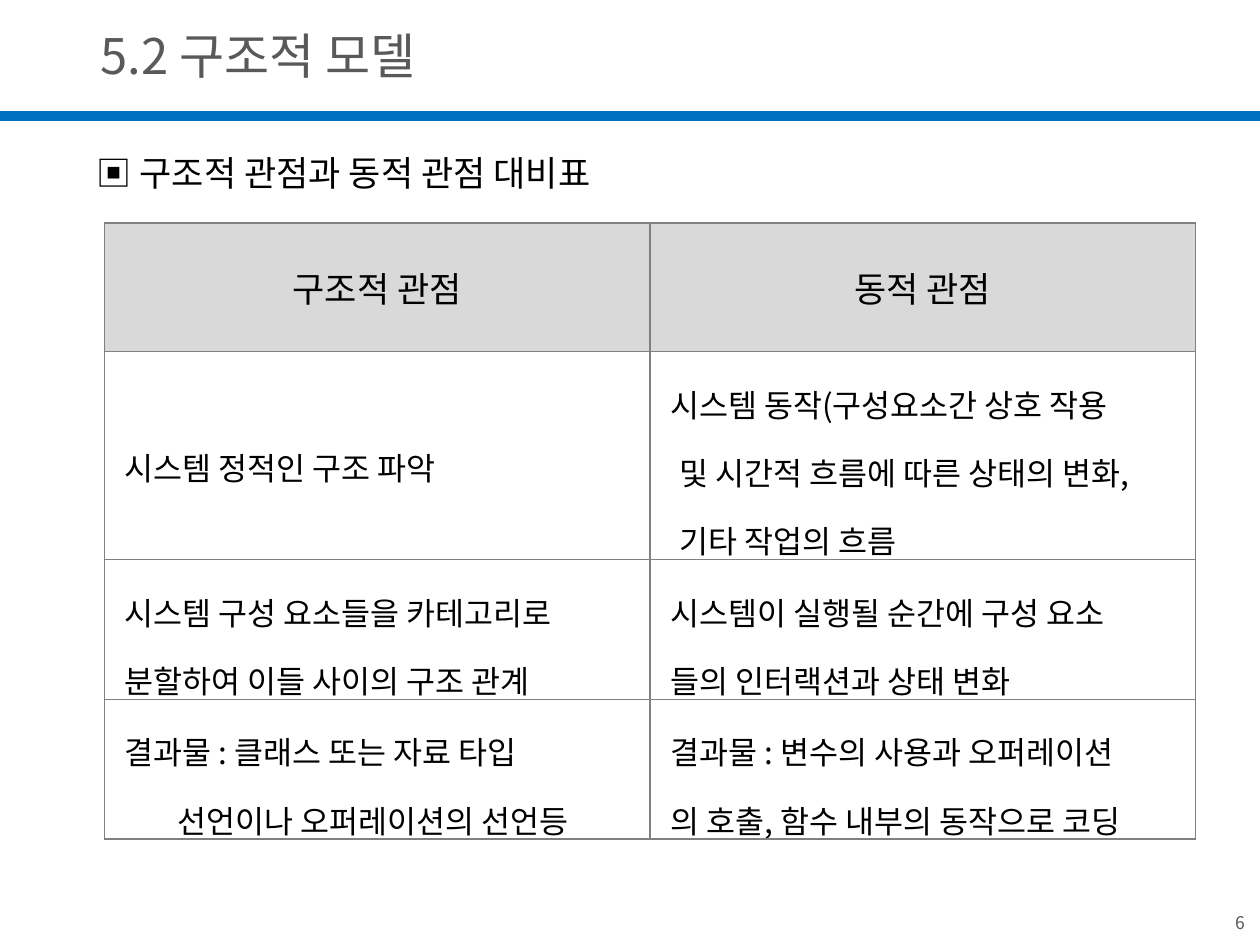
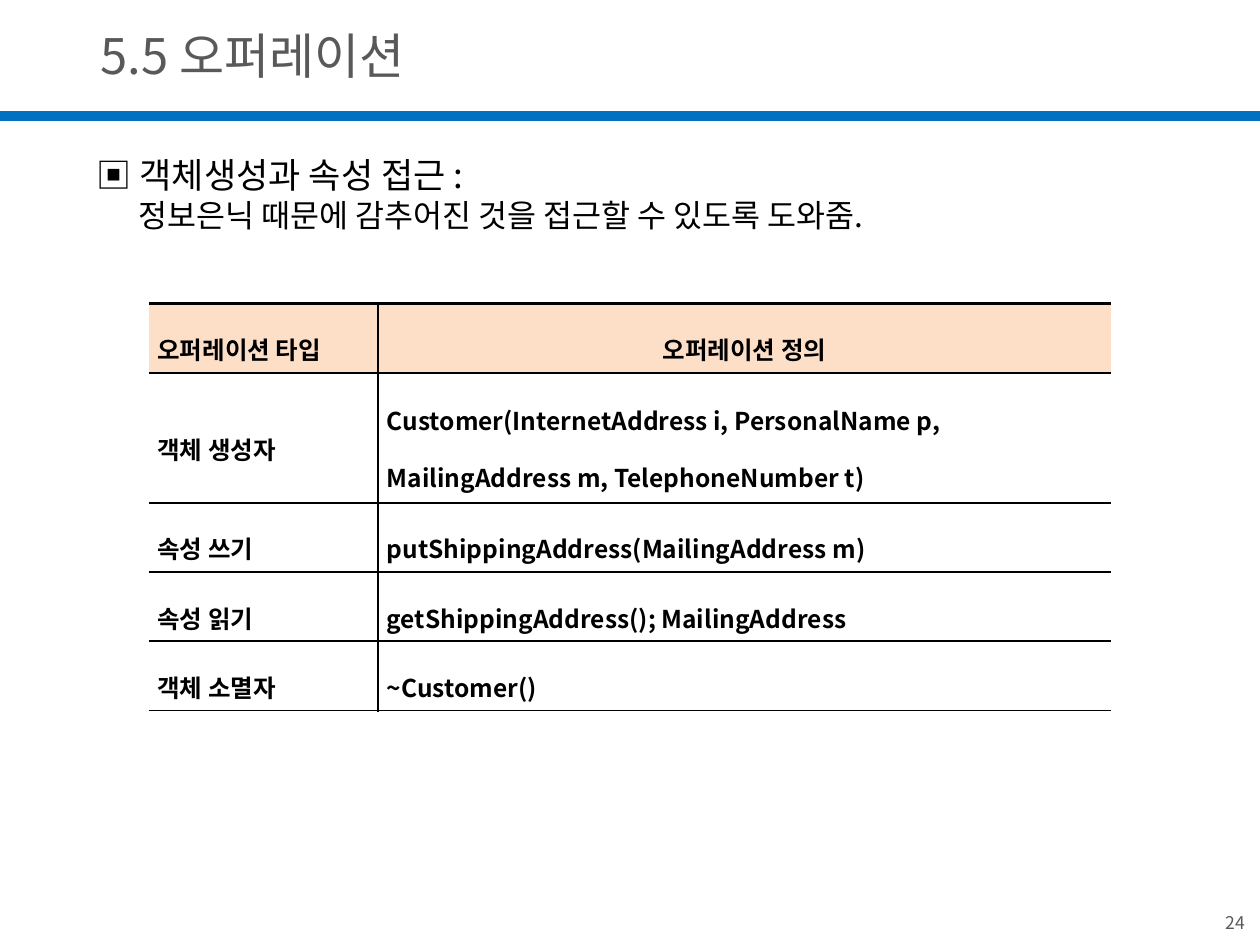
from dataclasses import dataclass

from lxml import etree
from pptx import Presentation
from pptx import util as u
from pptx.dml.color import RGBColor
from pptx.enum import shapes, text
from pptx.oxml import ns

LEFT, CENTER, RIGHT, JUSTIFY = (
    text.PP_ALIGN.LEFT, text.PP_ALIGN.CENTER, text.PP_ALIGN.RIGHT, text.PP_ALIGN.JUSTIFY)


@dataclass(frozen=True)
class Theme:
    font: str = "Noto Sans CJK KR"
    ink: str = "000000"
    muted: str = "595959"
    band: str = "0070C0"
    grid: str = "808080"
    gray_head: str = "D9D9D9"
    peach_head: str = "FDDFC7"
    title: int = 28
    heading: int = 20
    body: int = 18
    small: int = 14
    number: int = 10


THEME = Theme()

# Content: a line is (text, indent in inches)
VIEWS_TITLE = "5.2 구조적 모델"
VIEWS_HEADING = "▣ 구조적 관점과 동적 관점 대비표"
VIEWS_HEAD = ["구조적 관점", "동적 관점"]
VIEWS_ROWS = [
    ([("시스템 정적인 구조 파악", 0.06)],
     [("시스템 동작(구성요소간 상호 작용", 0.06),
      ("및 시간적 흐름에 따른 상태의 변화,", 0.13),
      ("기타 작업의 흐름", 0.13)]),
    ([("시스템 구성 요소들을 카테고리로", 0.06),
      ("분할하여 이들 사이의 구조 관계", 0.06)],
     [("시스템이 실행될 순간에 구성 요소", 0.06),
      ("들의 인터랙션과 상태 변화", 0.06)]),
    ([("결과물 : 클래스 또는 자료 타입", 0.06),
      ("선언이나 오퍼레이션의 선언등", 0.48)],
     [("결과물 : 변수의 사용과 오퍼레이션", 0.06),
      ("의 호출, 함수 내부의 동작으로 코딩", 0.06)]),
]

OPERATIONS_TITLE = "5.5 오퍼레이션"
OPERATIONS_HEADING = "▣ 객체생성과 속성 접근 :"
OPERATIONS_NOTE = "정보은닉 때문에 감추어진 것을 접근할 수 있도록 도와줌."
OPERATIONS_ROWS = [
    ("오퍼레이션 타입", "오퍼레이션 정의"),
    ("객체 생성자",
     "Customer(InternetAddress i, PersonalName p, MailingAddress m, TelephoneNumber t)"),
    ("속성 쓰기", "putShippingAddress(MailingAddress m)"),
    ("속성 읽기", "getShippingAddress(); MailingAddress"),
    ("객체 소멸자", "~Customer()"),
]


# Text helpers
def style_para(para, size, color=THEME.ink, align=LEFT, spacing=1.0, indent=0, bold=False):
    para.alignment = align
    para.line_spacing = spacing
    if indent:
        para._p.get_or_add_pPr().set("marL", str(u.Inches(indent)))
    for span in para.runs:
        span.font.name = THEME.font
        span.font.size = u.Pt(size)
        span.font.bold = bold
        span.font.color.rgb = RGBColor.from_string(color)
        east_asian = etree.SubElement(span._r.get_or_add_rPr(), ns.qn("a:ea"))
        east_asian.set("typeface", THEME.font)


def write_lines(frame, lines, size, **style):
    frame.text = "\n".join(line for line, _ in lines)
    for para, (_, indent) in zip(frame.paragraphs, lines):
        style_para(para, size, indent=indent, **style)


def add_text(page, place, lines, size, anchor=text.MSO_ANCHOR.MIDDLE, wrap=True, **style):
    box = page.shapes.add_textbox(*map(u.Inches, place))
    frame = box.text_frame
    frame.word_wrap = wrap
    frame.vertical_anchor = anchor
    write_lines(frame, lines, size, **style)
    return box


# Table helpers
def set_borders(cell, borders):
    """Borders map a side (L, R, T, B) to (colour, points), or None for no line."""
    properties = cell._tc.get_or_add_tcPr()
    for side in "LRTB":
        line = etree.SubElement(properties, ns.qn(f"a:ln{side}"))
        if borders[side] is None:
            etree.SubElement(line, ns.qn("a:noFill"))
            continue
        color, points = borders[side]
        line.set("w", str(u.Pt(points)))
        fill = etree.SubElement(line, ns.qn("a:solidFill"))
        etree.SubElement(fill, ns.qn("a:srgbClr")).set("val", color)


def finish_cell(cell, borders, fill=None):
    set_borders(cell, borders)
    cell.vertical_anchor = text.MSO_ANCHOR.MIDDLE
    if fill:
        cell.fill.solid()
        cell.fill.fore_color.rgb = RGBColor.from_string(fill)
    else:
        cell.fill.background()


def add_grid(page, left, top, widths, heights):
    size = (sum(widths), sum(heights))
    table = page.shapes.add_table(
        len(heights), len(widths), *map(u.Inches, (left, top, *size))).table
    table.first_row = table.horz_banding = False
    for column, width in zip(table.columns, widths):
        column.width = u.Inches(width)
    for row, height in zip(table.rows, heights):
        row.height = u.Inches(height)
    return table


# Shared page: band, title and page number
def add_page(deck, title, number):
    page = deck.slides.add_slide(deck.slide_layouts[6])
    band = page.shapes.add_connector(
        shapes.MSO_CONNECTOR.STRAIGHT, 0, u.Inches(0.92), deck.slide_width, u.Inches(0.92))
    band.line.color.rgb = RGBColor.from_string(THEME.band)
    band.line.width = u.Pt(6)
    etree.SubElement(band._element.spPr, ns.qn("a:effectLst"))
    title_box = add_text(page, (0.7, 0.2, 8.5, 0.65), [(title, 0)], THEME.title,
                         anchor=text.MSO_ANCHOR.TOP, color=THEME.muted)
    title_box.text_frame.margin_top = 0
    add_text(page, (9.14, 7.22, 0.84, 0.21), [(str(number), 0)], THEME.number,
             color=THEME.muted, align=RIGHT)
    return page


def build_views(deck):
    page = add_page(deck, VIEWS_TITLE, 6)
    add_text(page, (0.67, 1.15, 4.69, 0.44), [(VIEWS_HEADING, 0)], THEME.heading, wrap=False)
    table = add_grid(page, 0.83, 1.77, [4.33] * 2, [1.02, 1.65, 1.11, 1.11])
    borders = dict.fromkeys("LRTB", (THEME.grid, 1))
    for column, label in enumerate(VIEWS_HEAD):
        cell = table.cell(0, column)
        write_lines(cell.text_frame, [(label, 0)], THEME.heading, align=CENTER)
        finish_cell(cell, borders, THEME.gray_head)
    for row, views in enumerate(VIEWS_ROWS, 1):
        for column, lines in enumerate(views):
            cell = table.cell(row, column)
            write_lines(cell.text_frame, lines, THEME.body, spacing=1.5)
            finish_cell(cell, borders)


def build_operations(deck):
    page = add_page(deck, OPERATIONS_TITLE, 24)
    intro = add_text(page, (0.67, 1.13, 8.55, 1),
                     [(OPERATIONS_HEADING, 0), (OPERATIONS_NOTE, 0.33)],
                     THEME.heading, anchor=text.MSO_ANCHOR.TOP)
    intro.text_frame.margin_top = u.Inches(0.09)
    for span in intro.text_frame.paragraphs[1].runs:
        span.font.size = u.Pt(THEME.body)

    table = add_grid(page, 1.18, 2.41, [1.82, 5.82], [0.55, 1.03, 0.55, 0.55, 0.55])
    thick, thin = (THEME.ink, 1.7), (THEME.ink, 1.13)
    for row, labels in enumerate(OPERATIONS_ROWS):
        rule = thin if row else thick
        for column, label in enumerate(labels):
            cell = table.cell(row, column)
            cell.margin_left = cell.margin_right = u.Inches(0.07)
            cell.margin_top = cell.margin_bottom = u.Inches(0.02)
            align = {(0, 1): CENTER, (1, 1): LEFT}.get((row, column), JUSTIFY)
            write_lines(cell.text_frame, [(label, 0)], THEME.small,
                        align=align, spacing=1.6, bold=True)
            borders = {"L": rule if column else None, "R": None if column else rule,
                       "T": thick if row < 2 else thin, "B": rule}
            finish_cell(cell, borders, None if row else THEME.peach_head)


def main():
    deck = Presentation()
    deck.slide_width, deck.slide_height = u.Inches(10), u.Inches(7.5)
    build_views(deck)
    build_operations(deck)
    deck.save("out.pptx")


if __name__ == "__main__":
    main()
